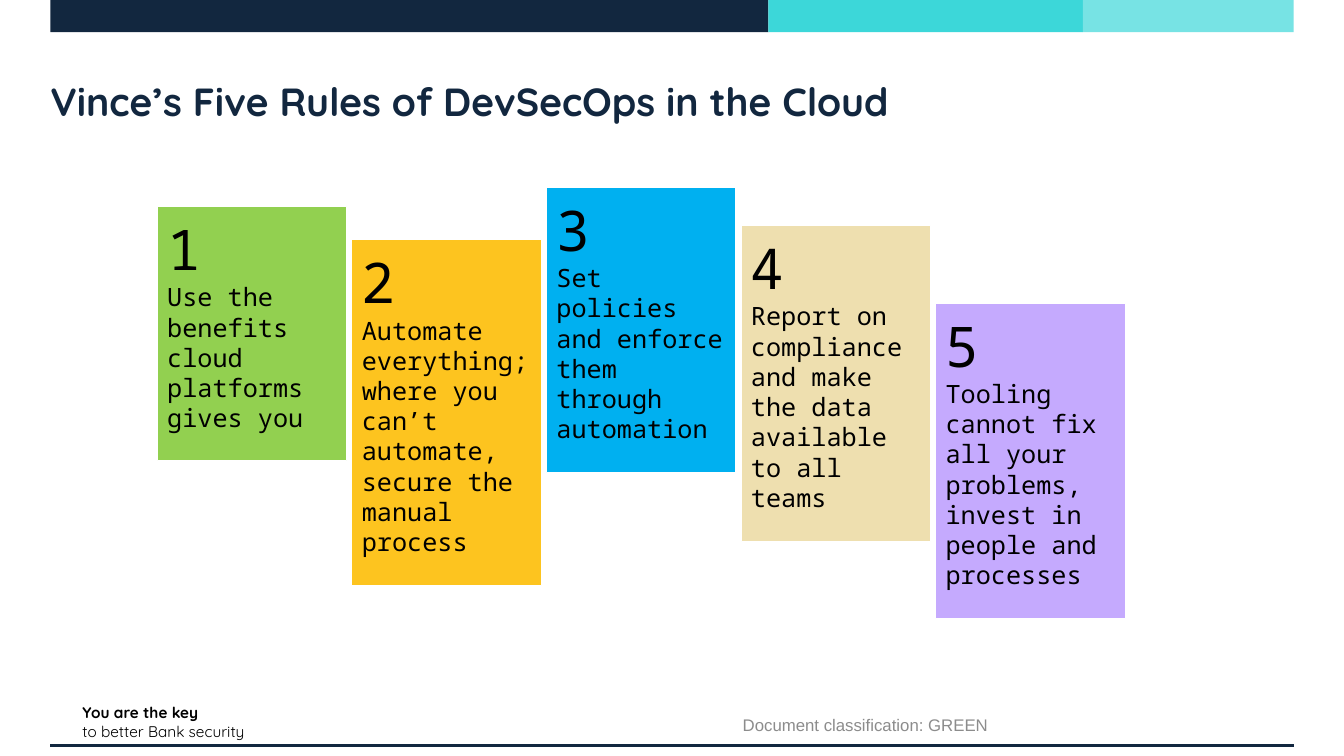
from pptx import Presentation
from pptx.dml.color import RGBColor
from pptx.enum import shapes, text
from pptx.oxml import parse_xml
from pptx.oxml.ns import nsdecls
from pptx.util import Inches, Pt

COLORS = {
    "navy": "12273F", "teal": "3CD7D9", "aqua": "77E3E4", "black": "000000",
    "grey": "8C8C8C", "white": "FFFFFF", "green": "92D050", "amber": "FDC41F",
    "blue": "00B0F0", "sand": "EEDFAF", "lilac": "C5AAFE",
}

# Top and height in inches, fill, wording
RULES = [
    (2.05, 2.52, "green", "Use the benefits cloud platforms gives you"),
    (2.38, 3.43, "amber", "Automate everything; where you can’t automate, "
                          "secure the manual process"),
    (1.86, 2.83, "blue", "Set policies and enforce them through automation"),
    (2.24, 3.13, "sand", "Report on compliance and make the data available "
                         "to all teams"),
    (3.01, 3.13, "lilac", "Tooling cannot fix all your problems, invest in "
                          "people and processes"),
]


def rgb(name):
    return RGBColor.from_string(COLORS[name])


def add_box(s, x, y, w, h, fill, line=None):
    sp = s.shapes.add_shape(shapes.MSO_SHAPE.RECTANGLE, Inches(x), Inches(y),
                            Inches(w), Inches(h))
    sp.shadow.inherit = False
    sp.fill.solid()
    sp.fill.fore_color.rgb = rgb(fill)
    if line:
        sp.line.color.rgb = rgb(line)
        sp.line.width = Pt(0.75)
    else:
        sp.line.fill.background()
    return sp


def style(p, wording, font, size, color, bold=False,
          align=text.PP_ALIGN.LEFT):
    p.text = wording
    p.alignment = align
    p.font.name, p.font.size, p.font.bold = font, Pt(size), bold
    p.font.color.rgb = rgb(color)


def add_text_frame(s, x, y, w, h, wrap=True):
    tf = s.shapes.add_textbox(Inches(x), Inches(y), Inches(w),
                              Inches(h)).text_frame
    tf.word_wrap = wrap
    return tf


def add_header_band(s, x, y, h):
    for w, fill in ((7.12, "navy"), (3.12, "teal"), (2.09, "aqua")):
        add_box(s, x, y, w, h, fill)
        x += w


def add_title(s, x, y, w, h):
    tf = add_text_frame(s, x, y, w, h)
    tf.margin_left = tf.margin_right = tf.margin_top = tf.margin_bottom = 0
    tf.vertical_anchor = text.MSO_ANCHOR.MIDDLE
    style(tf.paragraphs[0], "Vince’s Five Rules of DevSecOps in the Cloud",
          "Quicksand", 28, "navy", bold=True)


def add_rules(s, x, w, step):
    """Place the numbered cards side by side, each at its own height."""
    for i, (y, h, fill, wording) in enumerate(RULES):
        tf = add_box(s, x + i * step, y, w, h, fill, "white").text_frame
        tf.word_wrap = True
        tf.vertical_anchor = text.MSO_ANCHOR.TOP
        number, rule = tf.paragraphs[0], tf.add_paragraph()
        style(number, str(i + 1), "Noto Sans Mono", 40, "black")
        style(rule, wording, "Noto Sans Mono", 18, "black")
        number.line_spacing = Pt(50)
        rule.line_spacing = Pt(21.6)


def add_footer(s, x, y, w):
    """Draw the slogan, the classification and the rule below them."""
    tf = add_text_frame(s, x + 0.22, y, 1.87, 0.47, wrap=False)
    style(tf.paragraphs[0], "You are the key", "Quicksand", 11, "black",
          bold=True)
    style(tf.add_paragraph(), "to better Bank security", "Quicksand", 11,
          "black")

    tf = add_text_frame(s, x + 5, y + 0.05, 6.17, 0.42)
    tf.vertical_anchor = text.MSO_ANCHOR.MIDDLE
    style(tf.paragraphs[0], "Document classification: GREEN", "Arial", 12,
          "grey", align=text.PP_ALIGN.CENTER)

    line = s.shapes.add_connector(
        shapes.MSO_CONNECTOR.STRAIGHT, Inches(x), Inches(y + 0.47),
        Inches(x + w), Inches(y + 0.47))
    line.line.color.rgb = rgb("navy")
    line.line.width = Pt(2.25)
    line._element.spPr.append(parse_xml(f"<a:effectLst {nsdecls('a')}/>"))


def main():
    prs = Presentation()
    prs.slide_width, prs.slide_height = Inches(13.33), Inches(7.5)
    s = prs.slides.add_slide(prs.slide_layouts[6])
    add_header_band(s, 0.5, 0, 0.32)
    add_title(s, 0.5, 0.5, 12.33, 1)
    add_rules(s, 1.56, 1.88, 1.93)
    add_footer(s, 0.5, 6.93, 12.33)
    prs.save("out.pptx")


if __name__ == "__main__":
    main()
